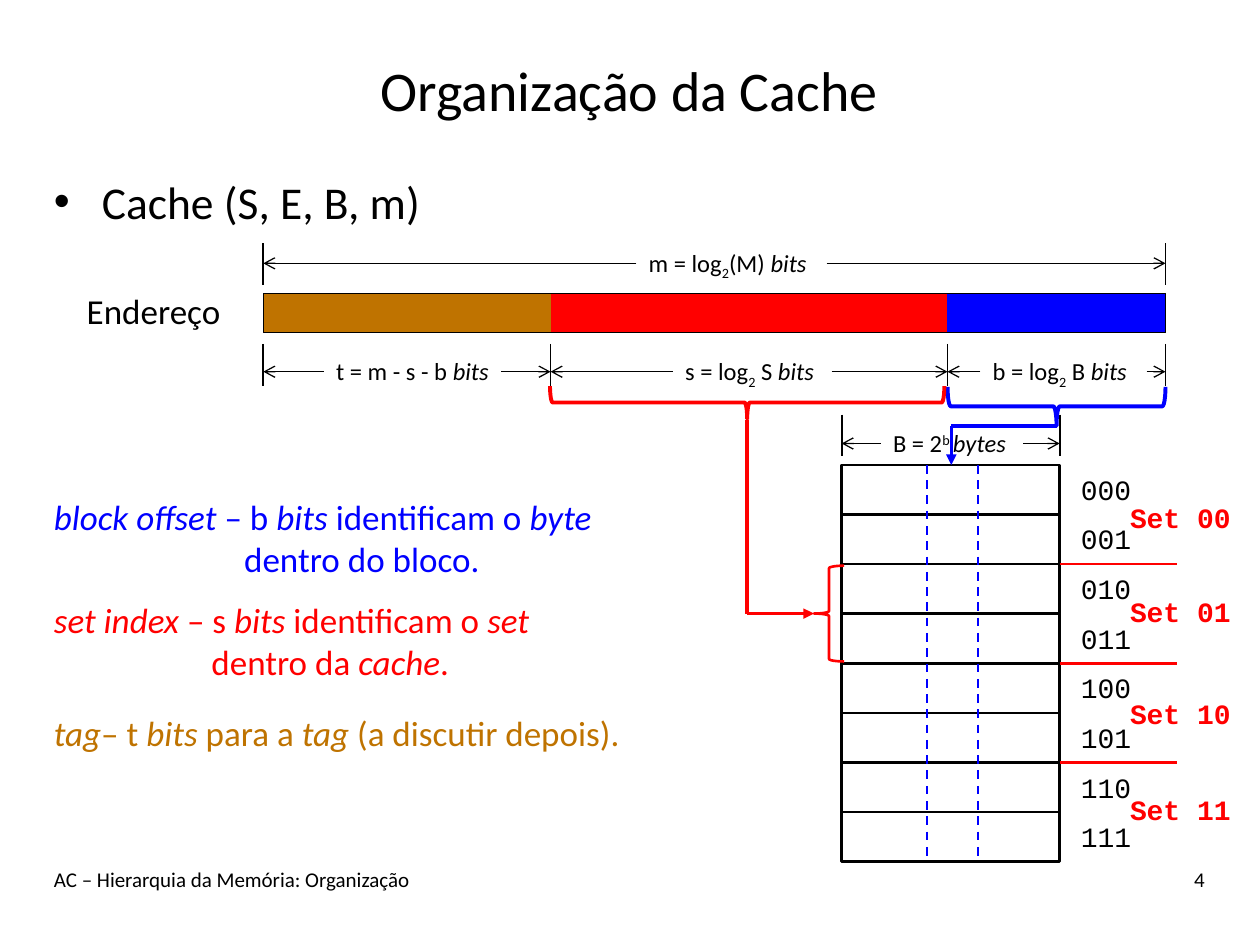
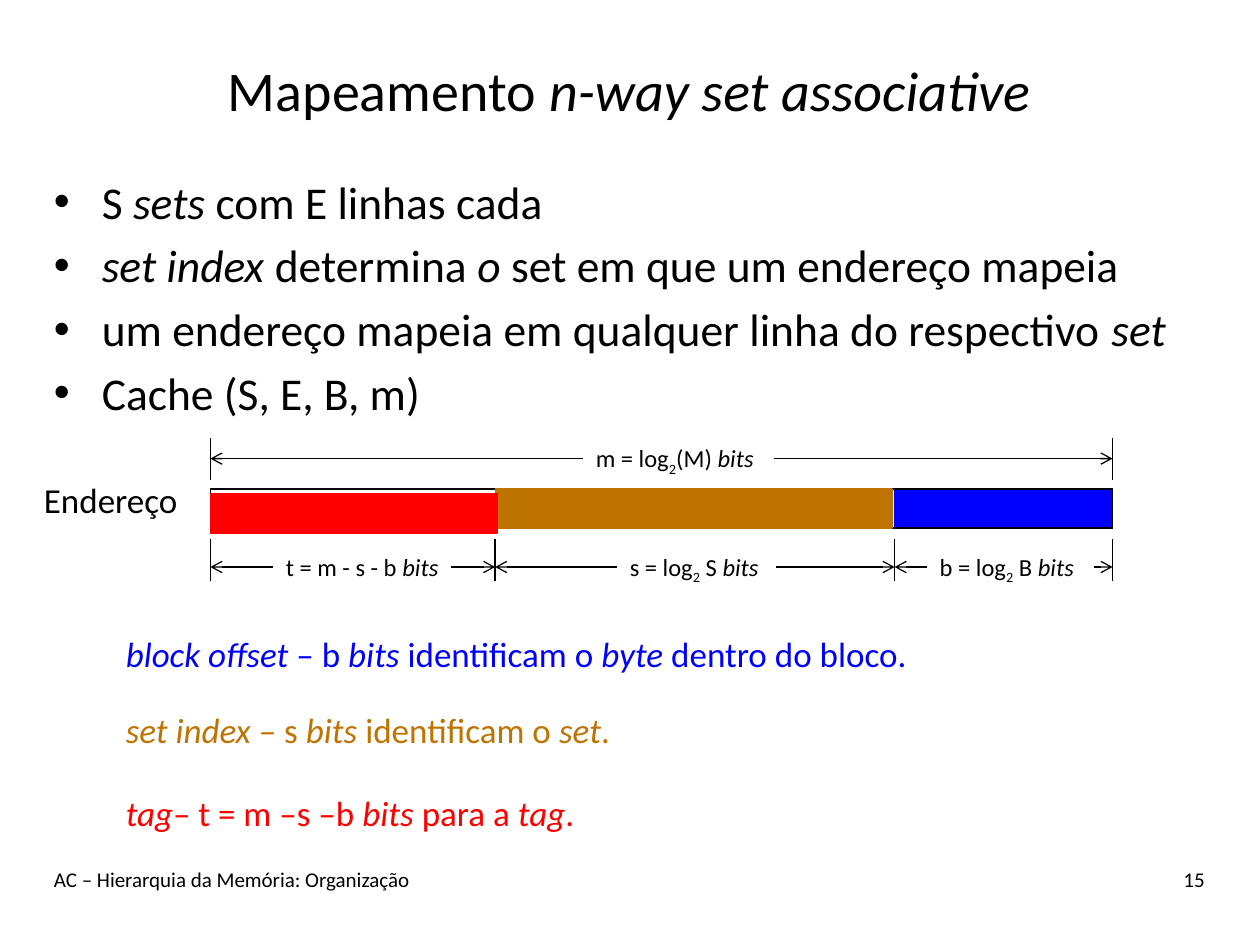
from itertools import pairwise

from lxml import etree
from pptx import Presentation
from pptx.dml.color import RGBColor
from pptx.enum.dml import MSO_LINE
from pptx.enum.shapes import MSO_CONNECTOR, MSO_SHAPE
from pptx.enum.text import MSO_ANCHOR, PP_ALIGN
from pptx.oxml.ns import qn
from pptx.util import Inches, Pt

STRAIGHT = MSO_CONNECTOR.STRAIGHT
RECTANGLE = MSO_SHAPE.RECTANGLE
LEFT_BRACE, RIGHT_BRACE = MSO_SHAPE.LEFT_BRACE, MSO_SHAPE.RIGHT_BRACE
LEFT, CENTER, RIGHT = PP_ALIGN.LEFT, PP_ALIGN.CENTER, PP_ALIGN.RIGHT
TOP, MIDDLE = MSO_ANCHOR.TOP, MSO_ANCHOR.MIDDLE
DASH = MSO_LINE.DASH

COLORS = {"black": "000000", "blue": "0000FF", "red": "FF0000", "ochre": "BF7300"}
RGB = {name: RGBColor.from_string(value) for name, value in COLORS.items()}
BODY_FONT, CODE_FONT = "Calibri", "Courier New"
BASELINES = {"_": "-25000", "^": "30000"}

deck = Presentation()
deck.slide_width, deck.slide_height = Inches(10), Inches(7.5)
# The grid has 10 columns by 7.5 rows of equal, square cells.
CELL = deck.slide_width // 10


def add_text(slide, box, lines, size, color="black", font=BODY_FONT, bold=False,
             align=LEFT, anchor=TOP, wrap=False, indents=(), bullet=False):
    """Add text; "|" splits runs, led by "/" italic, "_" subscript or "^" superscript."""
    frame = slide.shapes.add_textbox(*(round(v * CELL) for v in box)).text_frame
    frame.word_wrap = wrap
    frame.vertical_anchor = anchor
    for number, line in enumerate(lines):
        paragraph = frame.add_paragraph() if number else frame.paragraphs[0]
        paragraph.alignment = align
        properties = paragraph._p.get_or_add_pPr()
        if number < len(indents):
            properties.set("marL", str(round(indents[number] * CELL)))
        if bullet:
            paragraph.space_before = Pt(size * 0.2)
            properties.set("marL", str(round(0.38 * CELL)))
            properties.set("indent", str(round(-0.38 * CELL)))
            etree.SubElement(properties, qn("a:buFont"), typeface="Arial")
            etree.SubElement(properties, qn("a:buChar"), char="•")
        for part in line.split("|"):
            run = paragraph.add_run()
            run.text = part[1:] if part[0] in "/_^" else part
            run.font.name, run.font.size, run.font.bold = font, Pt(size), bold
            run.font.italic = part[0] == "/"
            run.font.color.rgb = RGB[color]
            if part[0] in BASELINES:
                run._r.get_or_add_rPr().set("baseline", BASELINES[part[0]])


def add_line(slide, points, width, color="black", head=None, dash=None):
    """Join the points with straight lines; the head sits at the last point."""
    for start, end in pairwise(points):
        line = slide.shapes.add_connector(
            STRAIGHT, *(round(v * CELL) for v in (*start, *end)))
        line.line.color.rgb = RGB[color]
        line.line.width = Pt(width)
        if dash:
            line.line.dash_style = dash
        if head and end == points[-1]:
            etree.SubElement(line.line._get_or_add_ln(), qn("a:tailEnd"), type=head)
        etree.SubElement(line._element.spPr, qn("a:effectLst"))


BAR_WIDTH, BAR_HEIGHT, OFFSET_START = 7.16, 0.31, 5.43

# Bar parts run from back to front: start, width, drop, fill, outline.
pages = [
    {
        "number": "4",
        "title": "Organização da Cache",
        "bullets": ["Cache (S, E, B, m)"],
        "bar": (2.09, 2.33),
        "index_start": 2.28,
        "parts": [(0, 2.28, 0, "ochre", "red"),
                  (2.28, 3.15, 0, "red", "ochre"),
                  (OFFSET_START, 1.73, 0, "blue", "blue"),
                  (0, BAR_WIDTH, 0, None, "black")],
        "address": (0.59, 2.25),
        "label_starts": (0.48, 3.25),
        "notes": [
            (0.33, 3.88, "blue", ["/block offset |– b |/bits |identificam o |/byte",
                                  "dentro do bloco."], 1.51),
            (0.33, 4.7, "red", ["/set index |– s |/bits |identificam o |/set",
                                "dentro da |/cache|."], 1.25),
            (0.33, 5.6, "ochre",
             ["/tag|– t |/bits |para a |/tag |(a discutir depois)."], 0),
        ],
    },
    {
        "number": "15",
        "title": "Mapeamento |/n-way set associative",
        "bullets": ["S |/sets| com E linhas cada",
                    "/set index |determina |/o |set em que um endereço mapeia",
                    "um endereço mapeia em qualquer linha do respectivo |/set",
                    "Cache (S, E, B, m)"],
        "bar": (1.67, 3.88),
        "index_start": 2.26,
        "parts": [(OFFSET_START, 1.73, 0, "blue", "blue"),
                  (0, BAR_WIDTH, 0, None, "black"),
                  (2.26, 3.15, 0, "ochre", "ochre"),
                  (0, 2.28, 0.04, "red", "red")],
        "address": (0.25, 3.75),
        "label_starts": (0.5, 3.23),
        "notes": [
            (0.9, 4.97, "blue",
             ["/block offset |– b |/bits |identificam o |/byte |dentro do bloco."], 0),
            (0.9, 5.57, "ochre", ["/set index |– s |/bits |identificam o |/set|."], 0),
            (0.9, 6.23, "red", ["/tag|– t = m –s –b |/bits |para a |/tag|."], 0),
        ],
    },
]

# The memory block shown on the first page
MEMORY_LEFT, MEMORY_TOP, MEMORY_WIDTH, ROW_HEIGHT = 6.68, 3.69, 1.73, 0.39375
MEMORY_RIGHT = MEMORY_LEFT + MEMORY_WIDTH

slides = []
for page in pages:
    slide = deck.slides.add_slide(deck.slide_layouts[6])
    slides.append(slide)
    add_text(slide, (0.33, 0.25, 9.33, 0.92), [page["title"]], 32,
             align=CENTER, anchor=MIDDLE, wrap=True)
    add_text(slide, (0.33, 1.33, 9.33, 0.53), page["bullets"], 26,
             wrap=True, bullet=True)
    add_text(slide, (0.33, 6.83, 7, 0.5), ["AC – Hierarquia da Memória: Organização"],
             12, wrap=True)
    add_text(slide, (8.33, 6.83, 1.33, 0.5), [page["number"]], 12,
             align=RIGHT, wrap=True)

    bar_left, bar_top = page["bar"]
    for start, width, drop, fill, outline in page["parts"]:
        field = slide.shapes.add_shape(RECTANGLE, *(round(v * CELL) for v in (
            bar_left + start, bar_top + drop, width, BAR_HEIGHT)))
        field.shadow.inherit = False
        if fill:
            field.fill.solid()
            field.fill.fore_color.rgb = RGB[fill]
        else:
            field.fill.background()
        field.line.color.rgb = RGB[outline]
        field.line.width = Pt(0.75)
    add_text(slide, (*page["address"], 1.27, 0.44), ["Endereço"], 20)

    # Dimensions: start, end, label start, label width, label top, tick top, label
    tag_label, index_label = page["label_starts"]
    index_start = page["index_start"]
    dimensions = [
        (0, BAR_WIDTH, 2.96, 1.51, -0.41, -0.4, "m = log|_2|(M) |/bits"),
        (0, index_start, tag_label, 1.41, 0.45, 0.4, "t = m - s - b |/bits"),
        (index_start, OFFSET_START, index_label, 1.26, 0.45, None,
         "s = log|_2| S |/bits"),
        (OFFSET_START, BAR_WIDTH, 5.69, 1.32, 0.45, 0.4, "b = log|_2| B |/bits"),
    ]
    if page is pages[0]:
        block_start = MEMORY_LEFT - bar_left
        dimensions.append((block_start, block_start + MEMORY_WIDTH, block_start + 0.31,
                           1.13, 1.02, 0.96, "B = 2|^b |/bytes"))
    for start, end, label_start, label_width, label_top, tick_top, label in dimensions:
        label_left = bar_left + label_start
        label_y = bar_top + label_top
        arrow_y = label_y + 0.17
        add_text(slide, (label_left, label_y, label_width, 0.34), [label], 14)
        for inner, edge in ((label_left, bar_left + start),
                            (label_left + label_width, bar_left + end)):
            add_line(slide, [(inner, arrow_y), (edge, arrow_y)], 0.75, head="arrow")
            if tick_top is not None:
                tick_y = bar_top + tick_top
                add_line(slide, [(edge, tick_y), (edge, tick_y + 0.33)], 1)

    for left, top, color, lines, indent in page["notes"]:
        add_text(slide, (left, top, 6.6, 0.44 * len(lines)), lines, 20, color,
                 wrap=True, indents=(0, indent))

cache = slides[0]
for row in range(8):
    row_top = MEMORY_TOP + row * ROW_HEIGHT
    block = cache.shapes.add_shape(RECTANGLE, *(round(v * CELL) for v in (
        MEMORY_LEFT, row_top, MEMORY_WIDTH, ROW_HEIGHT)))
    block.shadow.inherit = False
    block.fill.background()
    block.line.color.rgb = RGB["black"]
    block.line.width = Pt(1.5)
    add_text(cache, (8.48, row_top + 0.01, 0.61, 0.37), [f"{row:03b}"], 16,
             font=CODE_FONT)

for index, label_top in enumerate((3.92, 4.67, 5.48, 6.24)):
    add_text(cache, (8.87, label_top, 1.01, 0.37), [f"Set {index:02b}"], 16, "red",
             font=CODE_FONT, bold=True)
    if index:
        set_top = MEMORY_TOP + 2 * index * ROW_HEIGHT
        add_line(cache, [(MEMORY_RIGHT, set_top), (9.34, set_top)], 1.5, "red")

# Braces: preset, box, rotation, colour, line width
for preset, box, rotation, color, width in (
        (RIGHT_BRACE, (8.23, 2.36, 0.31, 1.73), 90, "blue", 2.25),
        (RIGHT_BRACE, (5.8, 1.63, 0.26, 3.13), 90, "red", 2.25),
        (LEFT_BRACE, (6.46, 4.49, 0.24, 0.76), 0, "red", 1.5)):
    brace = cache.shapes.add_shape(preset, *(round(v * CELL) for v in box))
    brace.shadow.inherit = False
    brace.rotation = rotation
    brace.adjustments[0] = 0.083
    brace.fill.background()
    brace.line.color.rgb = RGB[color]
    brace.line.width = Pt(width)

add_line(cache, [(8.39, 3.38), (7.55, 3.38), (7.55, 3.69)], 2, "blue", "triangle")
add_line(cache, [(5.93, 3.33), (5.93, 4.87), (6.46, 4.87)], 2, "red", "triangle")
for byte_edge in (7.36, 7.76):
    add_line(cache, [(byte_edge, MEMORY_TOP), (byte_edge, 6.82)], 1.25, "blue",
             dash=DASH)

deck.save("out.pptx")
